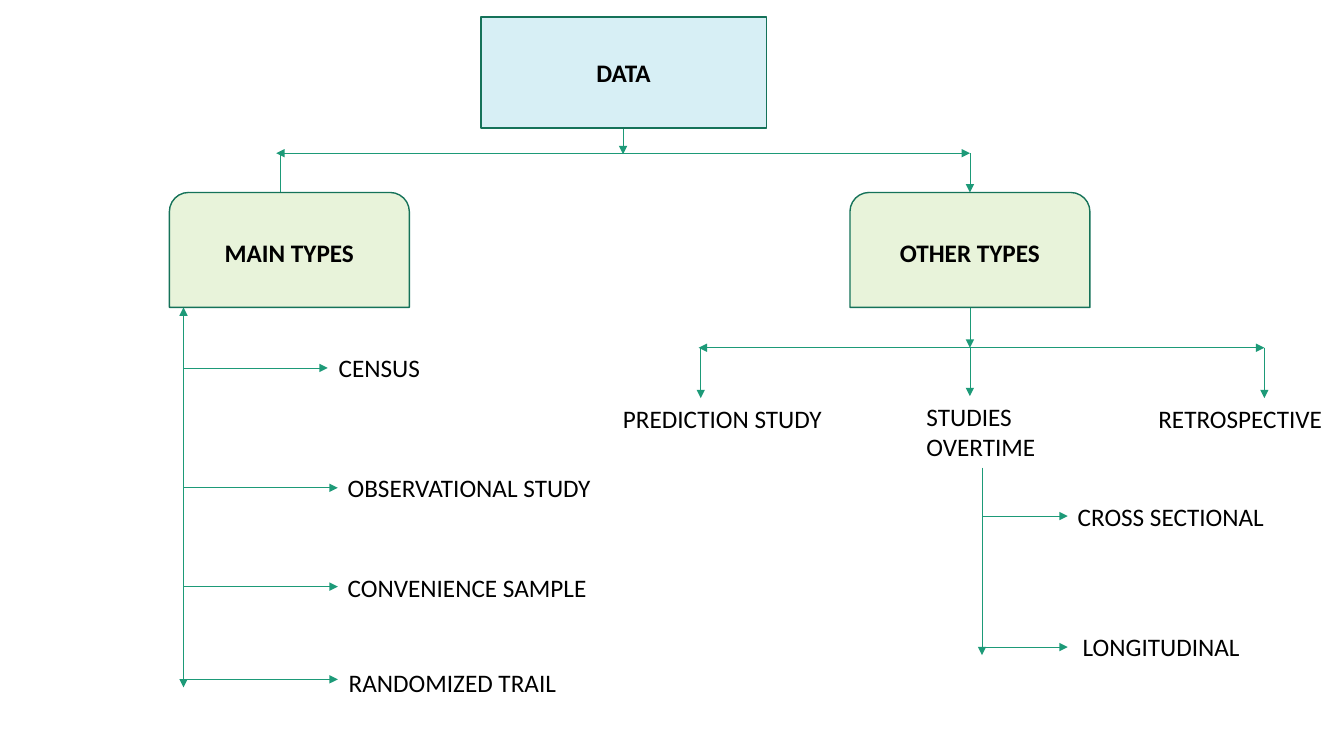
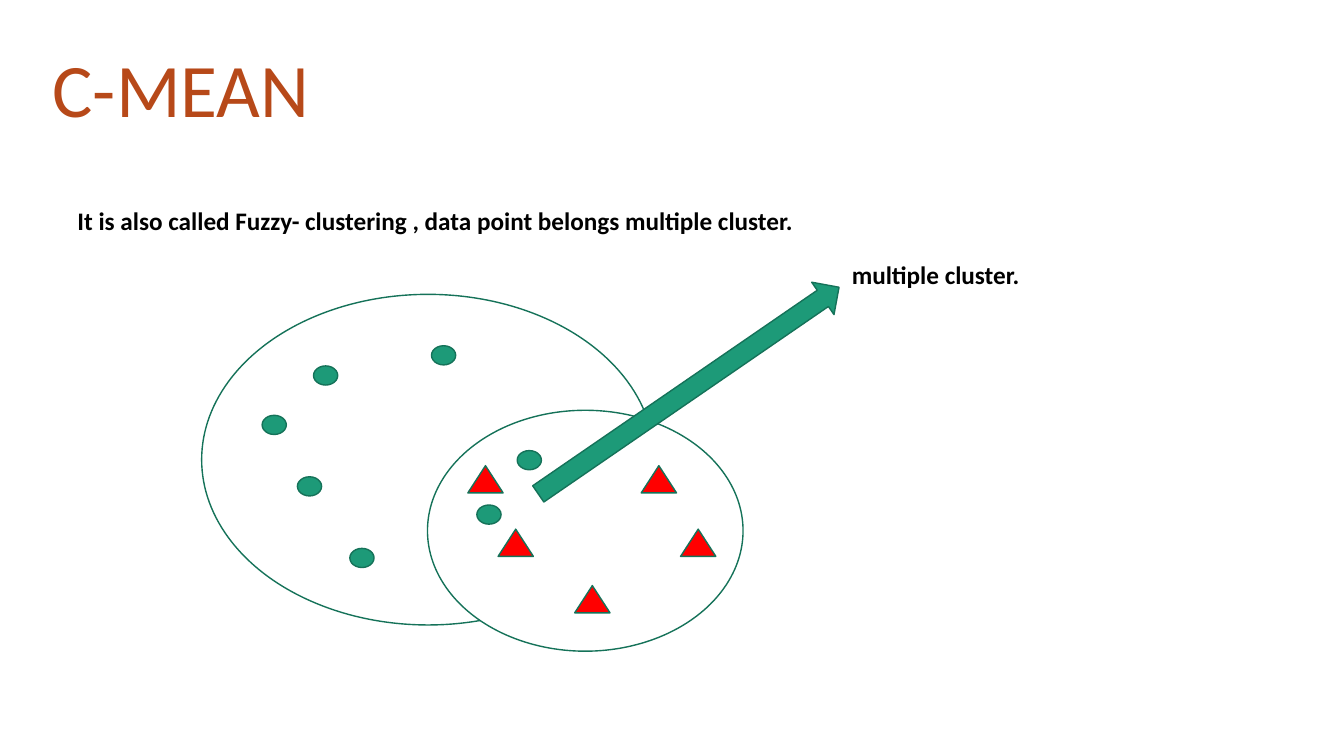
from typing import NamedTuple

from pptx import Presentation
from pptx.dml.color import RGBColor
from pptx.enum.shapes import MSO_CONNECTOR, MSO_SHAPE
from pptx.enum.text import MSO_ANCHOR, MSO_AUTO_SIZE, PP_ALIGN
from pptx.oxml.ns import qn
from pptx.shapes.autoshape import Shape
from pptx.slide import Slide
from pptx.text.text import TextFrame
from pptx.util import Emu, Pt
from lxml import etree

RECTANGLE = MSO_SHAPE.RECTANGLE
ROUND_TOP = MSO_SHAPE.ROUND_2_SAME_RECTANGLE
ELLIPSE = MSO_SHAPE.OVAL
TRIANGLE = MSO_SHAPE.ISOSCELES_TRIANGLE
RIGHT_ARROW = MSO_SHAPE.RIGHT_ARROW
STRAIGHT = MSO_CONNECTOR.STRAIGHT
LEFT, CENTER = PP_ALIGN.LEFT, PP_ALIGN.CENTER
MIDDLE = MSO_ANCHOR.MIDDLE
FIT_TEXT = MSO_AUTO_SIZE.SHAPE_TO_FIT_TEXT

EMU_PER_PX = 9144  # 100 px to the inch
SLIDE_WIDTH, SLIDE_HEIGHT = 1333, 750

COLORS = {
    "text": "000000",
    "title": "B74919",
    "accent": "1D9A78",
    "outline": "157259",
    "root": "D7EFF5",
    "group": "E8F3DA",
    "cluster": "FFFFFF",
    "triangle": "FF0000",
}

BODY = {"name": "Calibri", "size": Pt(18), "bold": False}
STRONG = BODY | {"bold": True}
TITLE = BODY | {"size": Pt(54)}


class Box(NamedTuple):
    left: int
    top: int
    width: int
    height: int


class Label(NamedTuple):
    text: str
    box: Box


class Arrow(NamedTuple):
    start: tuple[int, int]
    end: tuple[int, int]
    two_way: bool = False


class Node(NamedTuple):
    text: str
    box: Box
    preset: MSO_SHAPE
    fill: str


MAIN_TRUNK, OTHER_AXIS, STUDY_TRUNK = 182, 962, 974
ROOT_AXIS, TOP_RAIL, STUDY_RAIL = 618, 152, 345

NODES = [
    Node("DATA", Box(477, 17, 283, 110), RECTANGLE, "root"),
    Node("MAIN TYPES", Box(168, 191, 238, 114), ROUND_TOP, "group"),
    Node("OTHER TYPES", Box(843, 191, 238, 114), ROUND_TOP, "group"),
]

ARROWS = [
    Arrow((ROOT_AXIS, 127), (ROOT_AXIS, 153)),
    Arrow((274, TOP_RAIL), (OTHER_AXIS, TOP_RAIL), True),
    Arrow((278, TOP_RAIL), (278, 202)),
    Arrow((OTHER_AXIS, TOP_RAIL), (OTHER_AXIS, 191)),
    Arrow((MAIN_TRUNK, 305), (MAIN_TRUNK, 682), True),
    *(Arrow((MAIN_TRUNK, y), (tip, y))
      for y, tip in [(365, 325), (484, 335), (582, 335), (674, 335)]),
    Arrow((OTHER_AXIS, 305), (OTHER_AXIS, STUDY_RAIL)),
    Arrow((693, STUDY_RAIL), (1254, STUDY_RAIL), True),
    *(Arrow((x, STUDY_RAIL), (x, tip))
      for x, tip in [(695, 395), (OTHER_AXIS, 393), (1254, 395)]),
    Arrow((STUDY_TRUNK, 464), (STUDY_TRUNK, 650)),
    *(Arrow((STUDY_TRUNK, y), (1059, y)) for y in (512, 642)),
]

DATA_LABELS = [
    Label("CENSUS", Box(326, 345, 102, 40)),
    Label("OBSERVATIONAL STUDY", Box(335, 464, 263, 40)),
    Label("CONVENIENCE SAMPLE", Box(335, 563, 259, 40)),
    Label("RANDOMIZED TRAIL", Box(336, 657, 228, 40)),
    Label("PREDICTION STUDY", Box(608, 395, 219, 40)),
    Label("STUDIES\nOVERTIME", Box(909, 393, 129, 71)),
    Label("RETROSPECTIVE", Box(1139, 395, 184, 40)),
    Label("CROSS SECTIONAL", Box(1059, 492, 207, 40)),
    Label("LONGITUDINAL", Box(1064, 621, 177, 40)),
]

CLUSTERS = [Box(200, 292, 449, 328), Box(424, 407, 313, 239)]
DOTS = [(311, 363), (260, 412), (295, 473), (347, 544), (428, 343), (473, 501), (513, 447)]
TRIANGLES = [(494, 525), (464, 462), (636, 462), (570, 581), (675, 525)]
CLUSTER_LABELS = [
    Label("It is also called Fuzzy- clustering , data point belongs multiple cluster.",
          Box(67, 199, 736, 40)),
    Label("multiple cluster.", Box(835, 252, 188, 40)),
]


def px(length: int) -> Emu:
    return Emu(length * EMU_PER_PX)


def color(name: str) -> RGBColor:
    return RGBColor.from_string(COLORS[name])


def write_text(frame: TextFrame, text: str, font_format: dict,
               color_name: str = "text", alignment: PP_ALIGN = LEFT) -> None:
    frame.text = text
    for paragraph in frame.paragraphs:
        paragraph.alignment = alignment
        for run in paragraph.runs:
            for attribute, value in font_format.items():
                setattr(run.font, attribute, value)
            run.font.color.rgb = color(color_name)


def add_label(slide: Slide, label: Label, font_format: dict,
              color_name: str = "text", alignment: PP_ALIGN = LEFT) -> None:
    frame = slide.shapes.add_textbox(*map(px, label.box)).text_frame
    frame.word_wrap = False
    frame.auto_size = FIT_TEXT
    write_text(frame, label.text, font_format, color_name, alignment)


def add_outlined_shape(slide: Slide, preset: MSO_SHAPE, box: Box, fill: str) -> Shape:
    shape = slide.shapes.add_shape(preset, *map(px, box))
    shape.shadow.inherit = False
    shape.fill.solid()
    shape.fill.fore_color.rgb = color(fill)
    shape.line.color.rgb = color("outline")
    shape.line.width = Pt(1)
    return shape


def add_node(slide: Slide, node: Node) -> None:
    shape = add_outlined_shape(slide, node.preset, node.box, node.fill)
    shape.text_frame.vertical_anchor = MIDDLE
    write_text(shape.text_frame, node.text, STRONG, alignment=CENTER)


def add_arrow(slide: Slide, arrow: Arrow) -> None:
    connector = slide.shapes.add_connector(STRAIGHT, *map(px, arrow.start + arrow.end))
    connector.line.color.rgb = color("accent")
    connector.line.width = Pt(0.5)
    properties = connector.element.spPr
    line = properties.find(qn("a:ln"))
    for end in ("a:headEnd", "a:tailEnd") if arrow.two_way else ("a:tailEnd",):
        etree.SubElement(line, qn(end), type="triangle")
    etree.SubElement(properties, qn("a:effectLst"))


def build_data_slide(slide: Slide) -> None:
    for arrow in ARROWS:
        add_arrow(slide, arrow)
    for node in NODES:
        add_node(slide, node)
    for label in DATA_LABELS:
        add_label(slide, label, BODY)


def build_cluster_slide(slide: Slide) -> None:
    add_label(slide, Label("C-MEAN ", Box(41, 37, 294, 101)), TITLE, "title", CENTER)
    for cluster in CLUSTERS:
        add_outlined_shape(slide, ELLIPSE, cluster, "cluster")
    for left, top in DOTS:
        add_outlined_shape(slide, ELLIPSE, Box(left, top, 24, 19), "accent")
    for left, top in TRIANGLES:
        add_outlined_shape(slide, TRIANGLE, Box(left, top, 35, 27), "triangle")
    pointer = add_outlined_shape(slide, RIGHT_ARROW, Box(502, 368, 362, 39), "accent")
    pointer.rotation = 325.5
    for label in CLUSTER_LABELS:
        add_label(slide, label, STRONG)


def main() -> None:
    presentation = Presentation()
    presentation.slide_width = px(SLIDE_WIDTH)
    presentation.slide_height = px(SLIDE_HEIGHT)
    blank_layout = presentation.slide_layouts[6]
    for build in (build_data_slide, build_cluster_slide):
        build(presentation.slides.add_slide(blank_layout))
    presentation.save("out.pptx")


if __name__ == "__main__":
    main()
